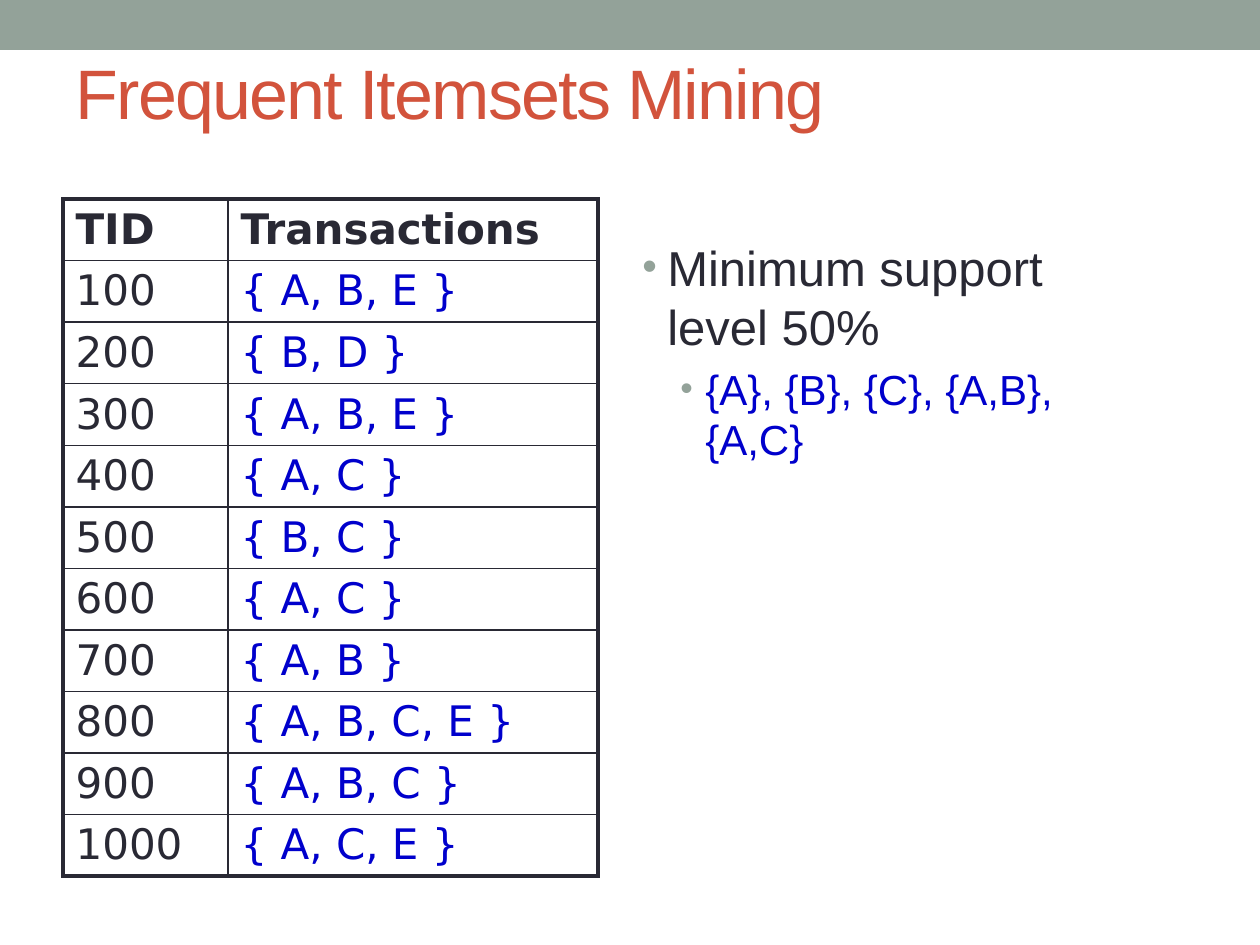
from lxml.etree import SubElement as Sub
from pptx import Presentation
from pptx.dml.color import RGBColor as RGB
from pptx.enum.shapes import MSO_SHAPE as SHAPE
from pptx.enum.text import MSO_ANCHOR as ANCHOR, PP_ALIGN as ALIGN
from pptx.oxml.ns import qn
from pptx.util import Pt

PX = 914400 // 126
COLORS = {"ink": "292934", "sage": "93A299", "rust": "D2533C", "blue": "0000CC"}
ROWS = [
    ("TID", "Transactions"),
    ("100", "{ A, B, E }"),
    ("200", "{ B, D }"),
    ("300", "{ A, B, E }"),
    ("400", "{ A, C }"),
    ("500", "{ B, C }"),
    ("600", "{ A, C }"),
    ("700", "{ A, B }"),
    ("800", "{ A, B, C, E }"),
    ("900", "{ A, B, C }"),
    ("1000", "{ A, C, E }"),
]
# level, text, size, colour, indent in px
POINTS = [
    (0, "Minimum support level 50%", 28, "ink", 25),
    (1, "{A}, {B}, {C}, {A,B}, {A,C}", 24, "blue", 63),
]


class Deck:
    sans = "Arial"
    mono = "DejaVu Sans"
    hang = 25

    def __init__(self, wide, high):
        self.prs = Presentation()
        self.prs.slide_width, self.prs.slide_height = wide * PX, high * PX
        self.slide = self.prs.slides.add_slide(self.prs.slide_layouts[5])

    def style(self, para, size, color, face, bold=False):
        font = para.font
        font.size, font.name, font.bold = Pt(size), face, bold
        font.color.rgb = RGB.from_string(COLORS[color])

    def title(self, text, x, y, w, h):
        shape = self.slide.shapes.title
        shape.left, shape.top, shape.width, shape.height = (v * PX for v in (x, y, w, h))
        frame = shape.text_frame
        frame.text, frame.vertical_anchor = text, ANCHOR.MIDDLE
        para = frame.paragraphs[0]
        para.alignment = ALIGN.LEFT
        self.style(para, 40, "rust", self.sans)
        para.runs[0].font._element.set("spc", "-100")

    def band(self, x, y, w, h, color):
        shape = self.slide.shapes.add_shape(SHAPE.RECTANGLE, *(v * PX for v in (x, y, w, h)))
        shape.shadow.inherit = False
        shape.fill.solid()
        shape.fill.fore_color.rgb = RGB.from_string(COLORS[color])
        shape.line.fill.background()

    def edge(self, cell, side, width):
        line = Sub(cell._tc.get_or_add_tcPr(), qn(f"a:ln{side}"), w=str(Pt(width)))
        fill = Sub(line, qn("a:solidFill"))
        Sub(fill, qn("a:srgbClr"), val=COLORS["ink"])

    def table(self, rows, x, y, widths, high):
        """Grid with a thick outer frame and thin inner lines."""
        last, end = len(rows) - 1, len(widths) - 1
        grid = self.slide.shapes.add_table(
            len(rows), len(widths), x * PX, y * PX,
            sum(widths) * PX, high * len(rows) * PX).table
        grid.first_row = grid.horz_banding = False
        for col, width in zip(grid.columns, widths):
            col.width = width * PX
        for r, row in enumerate(rows):
            for c, text in enumerate(row):
                cell = grid.cell(r, c)
                cell.text = text
                para = cell.text_frame.paragraphs[0]
                para.space_before = Pt(5)
                color = "blue" if r and c else "ink"
                self.style(para, 24, color, self.mono, bold=r == 0)
                outer = {"L": c == 0, "R": c == end, "T": r == 0, "B": r == last}
                for side, thick in outer.items():
                    self.edge(cell, side, 2.25 if thick else 1)
                cell.fill.background()

    def bullets(self, points, x, y, w, h):
        frame = self.slide.shapes.add_textbox(*(v * PX for v in (x, y, w, h))).text_frame
        frame.word_wrap = True
        for i, (level, text, size, color, indent) in enumerate(points):
            para = frame.add_paragraph() if i else frame.paragraphs[0]
            para.text, para.level = text, level
            para.space_before = Pt(size / 5)
            self.style(para, size, color, self.sans)
            self.bullet(para, indent)

    def bullet(self, para, indent):
        props = para._p.get_or_add_pPr()
        props.set("marL", str(indent * PX))
        props.set("indent", str(-self.hang * PX))
        # Bullet marks must come before the default run style
        marks = [Sub(props, qn(f"a:{tag}")) for tag in ("buClr", "buSzPct", "buFont", "buChar")]
        Sub(marks[0], qn("a:srgbClr"), val=COLORS["sage"])
        marks[1].set("val", "85000")
        marks[2].set("typeface", self.sans)
        marks[3].set("char", "•")
        props.append(props.find(qn("a:defRPr")))


def main():
    deck = Deck(1260, 945)
    deck.band(0, 0, 1260, 50, "sage")
    deck.title("Frequent Itemsets Mining", 63, 38, 1134, 108)
    deck.table(ROWS, 63, 199, (165, 370), 55)
    deck.bullets(POINTS, 630, 231, 532, 630)
    deck.prs.save("out.pptx")


if __name__ == "__main__":
    main()
